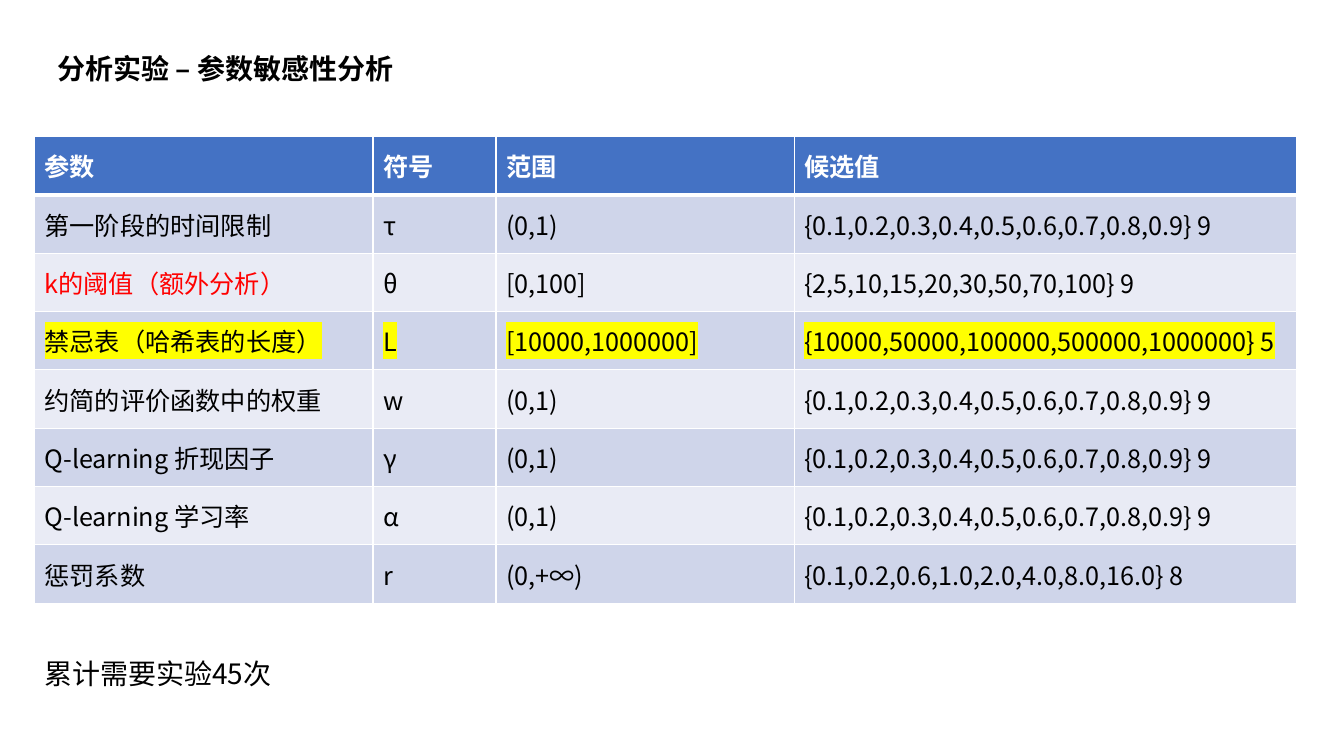
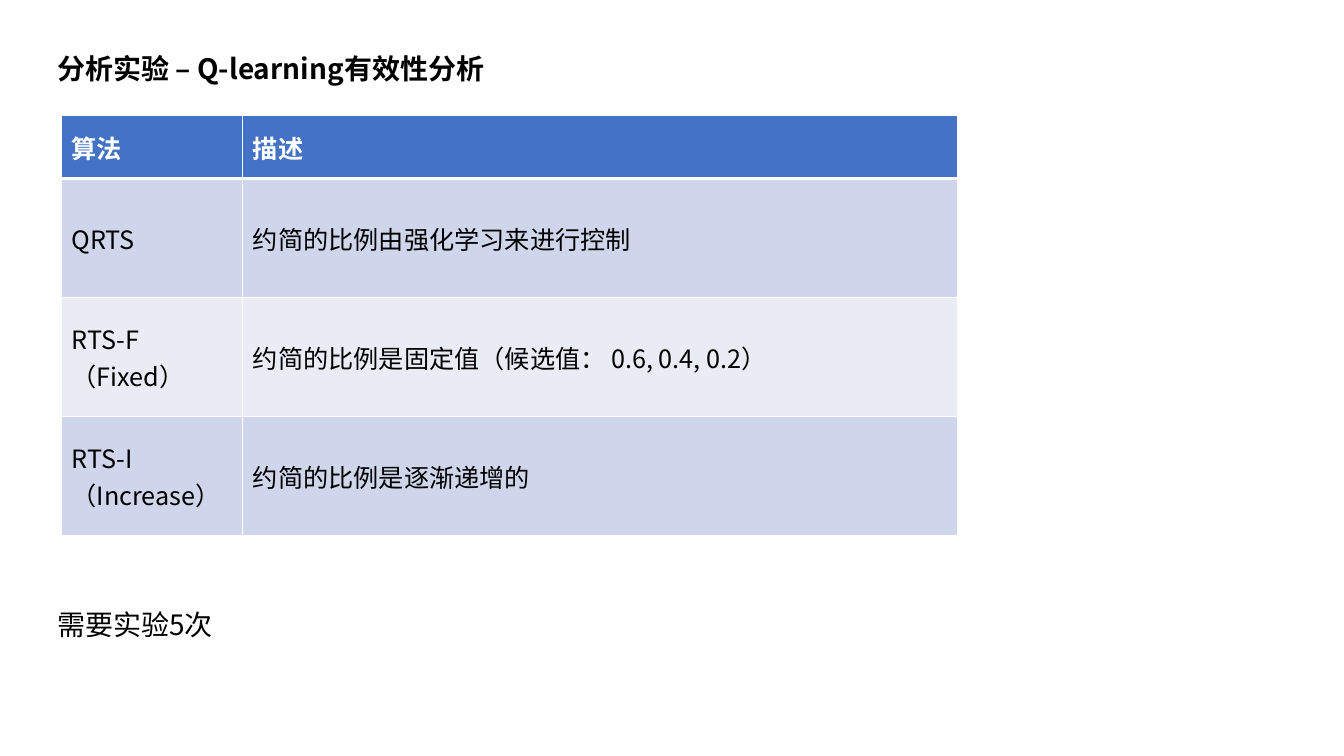
"""Build two slides of experiment settings, each with a title, a table and a note."""
from lxml.etree import SubElement
from pptx import Presentation
from pptx.dml.color import RGBColor
from pptx.enum.text import MSO_ANCHOR, MSO_AUTO_SIZE
from pptx.oxml.ns import qn
from pptx.util import Cm, Pt

FONT = "Noto Sans CJK SC"
BLACK = RGBColor(0x00, 0x00, 0x00)
WHITE = RGBColor(0xFF, 0xFF, 0xFF)
RED = RGBColor(0xFF, 0x00, 0x00)
YELLOW = RGBColor(0xFF, 0xFF, 0x00)
BLUE = RGBColor(0x44, 0x72, 0xC4)
BANDS = [RGBColor(0xE9, 0xEB, 0xF5), RGBColor(0xCF, 0xD5, 0xEA)]

TITLE = {"name": FONT, "size": Pt(20), "bold": True}
NOTE = {"name": FONT, "size": Pt(20), "bold": False}
HEADER = {"name": FONT, "size": Pt(18), "bold": True}
BODY = {"name": FONT, "size": Pt(18), "bold": False}

UNIT_RANGE = "(0,1)"
TENTHS = "{0.1,0.2,0.3,0.4,0.5,0.6,0.7,0.8,0.9} 9"

SLIDES = [
    {
        "title": "分析实验 – 参数敏感性分析",
        "table_at": (0.87, 3.44),
        "cols": [8.53, 3.1, 7.52, 12.65],
        "rows": [1.47] * 8,
        "cells": [
            ["参数", "符号", "范围", "候选值"],
            ["第一阶段的时间限制", "τ", UNIT_RANGE, TENTHS],
            ["k的阈值（额外分析）", "θ", "[0,100]", "{2,5,10,15,20,30,50,70,100} 9"],
            ["禁忌表（哈希表的长度）", "L", "[10000,1000000]",
             "{10000,50000,100000,500000,1000000} 5"],
            ["约简的评价函数中的权重", "w", UNIT_RANGE, TENTHS],
            ["Q-learning 折现因子", "γ", UNIT_RANGE, TENTHS],
            ["Q-learning 学习率", "α", UNIT_RANGE, TENTHS],
            ["惩罚系数", "r", "(0,+∞)", "{0.1,0.2,0.6,1.0,2.0,4.0,8.0,16.0} 8"],
        ],
        "red_cells": [(2, 0)],
        "marked_rows": [3],
        "note": "累计需要实验45次",
        "note_at": (0.86, 16, 32, 1.4),
    },
    {
        "title": "分析实验 – Q-learning有效性分析",
        "table_at": (1.55, 2.92),
        "cols": [4.57, 18.01],
        "rows": [1.58, 3, 3, 3],
        "cells": [
            ["算法", "描述"],
            ["QRTS", "约简的比例由强化学习来进行控制"],
            ["RTS-F\n（Fixed）", "约简的比例是固定值（候选值： 0.6, 0.4, 0.2）"],
            ["RTS-I\n（Increase）", "约简的比例是逐渐递增的"],
        ],
        "red_cells": [],
        "marked_rows": [],
        "note": "需要实验5次",
        "note_at": (1.19, 14.76, 26.4, 1.4),
    },
]


def write(tf, text, style, color=BLACK, highlight=None):
    tf.text = text
    for p in tf.paragraphs:
        for r in p.runs:
            for key, value in style.items():
                setattr(r.font, key, value)
            r.font.color.rgb = color
            rPr = r.font._element
            SubElement(rPr, qn("a:ea"), typeface=FONT)
            if highlight is not None:
                mark = SubElement(rPr, qn("a:highlight"))
                SubElement(mark, qn("a:srgbClr"), val=str(highlight))
                rPr.find(qn("a:latin")).addprevious(mark)


def add_text(s, at, text, style):
    tf = s.shapes.add_textbox(*map(Cm, at)).text_frame
    tf.word_wrap = True
    tf.auto_size = MSO_AUTO_SIZE.SHAPE_TO_FIT_TEXT
    write(tf, text, style)
    tf.paragraphs[0].line_spacing = 1.5


prs = Presentation()
prs.slide_width, prs.slide_height = Cm(33.87), Cm(19.05)

for page in SLIDES:
    s = prs.slides.add_slide(prs.slide_layouts[6])
    add_text(s, (1.19, 0.74, 13.54, 1.4), page["title"], TITLE)

    cols, rows = page["cols"], page["rows"]
    frame = (*page["table_at"], sum(cols), sum(rows))
    table = s.shapes.add_table(len(rows), len(cols), *map(Cm, frame)).table
    for column, width in zip(table.columns, cols):
        column.width = Cm(width)
    for row, height in zip(table.rows, rows):
        row.height = Cm(height)

    for i, texts in enumerate(page["cells"]):
        for j, text in enumerate(texts):
            cell = table.cell(i, j)
            cell.vertical_anchor = MSO_ANCHOR.MIDDLE
            tcPr = cell._tc.get_or_add_tcPr()
            for side in "LRTB":
                thick = (i, side) in [(0, "B"), (1, "T")]
                ln = SubElement(tcPr, qn(f"a:ln{side}"), w=str(Pt(3 if thick else 1)))
                SubElement(SubElement(ln, qn("a:solidFill")), qn("a:srgbClr"), val=str(WHITE))
            cell.fill.solid()
            cell.fill.fore_color.rgb = BANDS[i % 2] if i else BLUE
            if i == 0:
                write(cell.text_frame, text, HEADER, WHITE)
            else:
                color = RED if (i, j) in page["red_cells"] else BLACK
                highlight = YELLOW if i in page["marked_rows"] else None
                write(cell.text_frame, text, BODY, color, highlight)

    add_text(s, page["note_at"], page["note"], NOTE)

prs.save("out.pptx")
